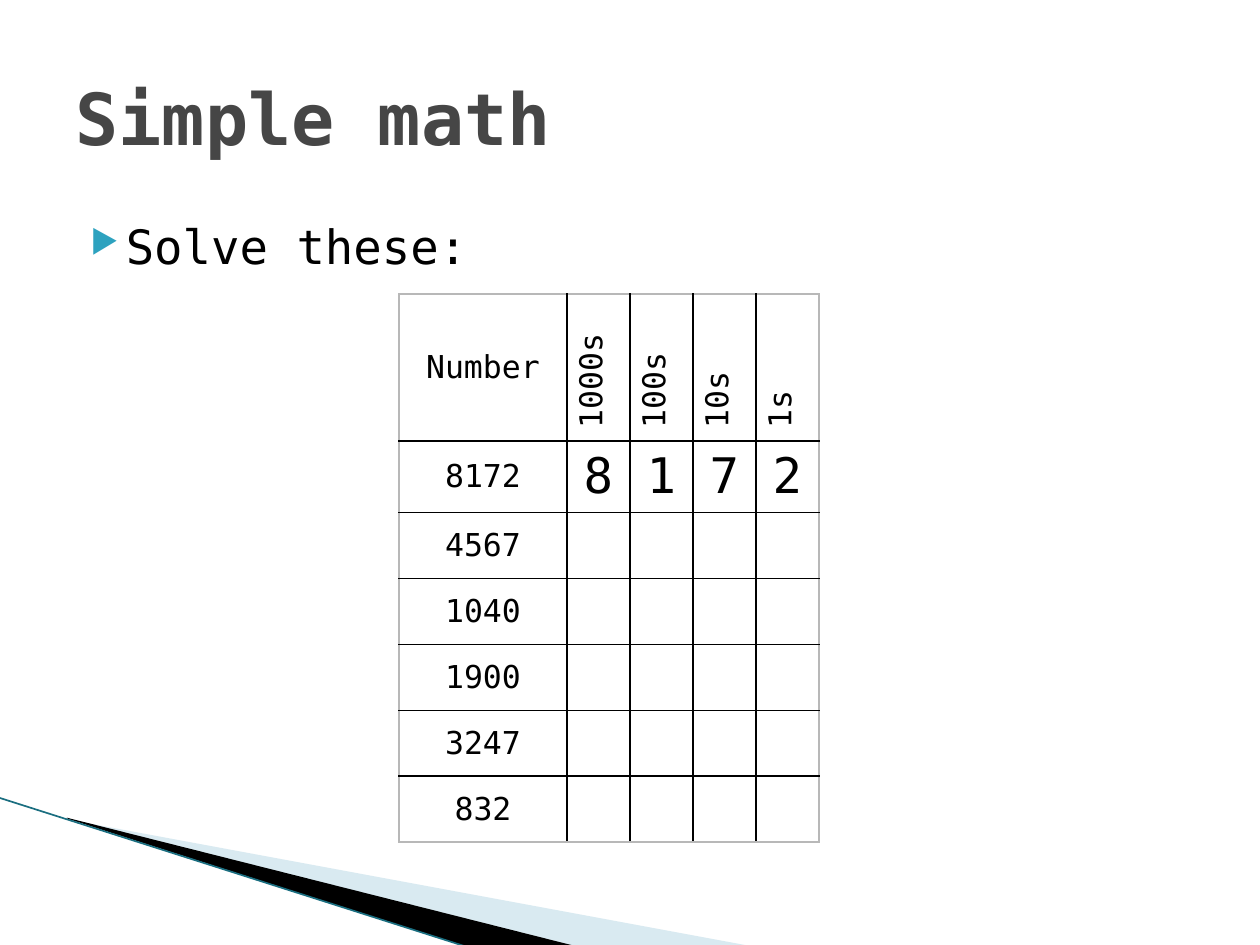
from lxml import etree
from pptx import Presentation
from pptx.dml.color import RGBColor
from pptx.enum import shapes, text
from pptx.oxml import ns
from pptx.util import Pt

COLORS = {
    "ink": "000000",
    "heading": "464646",
    "accent": "2DA2BF",
    "pale": "A0CBDC",
    "edge": "1A6E80",
    "frame": "B8B8B8",
}
FONT = "DejaVu Sans Mono"


def rgb(name):
    return RGBColor.from_string(COLORS[name])


def add_element(parent, tag, **attributes):
    return etree.SubElement(parent, ns.qn(tag), attributes)


class SlideWriter:
    def __init__(self, slide, font):
        self.slide = slide
        self.font = font

    def format_text(self, paragraph, size, color="ink", bold=False, align="LEFT"):
        paragraph.alignment = getattr(text.PP_ALIGN, align)
        for key, value in {"name": self.font, "size": Pt(size), "bold": bold}.items():
            setattr(paragraph.font, key, value)
        paragraph.font.color.rgb = rgb(color)

    def title(self, words, left, top, width, height, size):
        heading = self.slide.shapes.title
        box = {"left": left, "top": top, "width": width, "height": height}
        for key, value in box.items():
            setattr(heading, key, Pt(value))
        frame = heading.text_frame
        frame.text = words
        frame.vertical_anchor = text.MSO_ANCHOR.MIDDLE
        self.format_text(frame.paragraphs[0], size, "heading", bold=True)

    def bullet(self, words, left, top, width, height, size):
        box = self.slide.shapes.add_textbox(Pt(left), Pt(top), Pt(width), Pt(height))
        frame = box.text_frame
        frame.word_wrap = True
        frame.margin_top = Pt(7.6)
        paragraph = frame.paragraphs[0]
        paragraph.text = words
        props = paragraph._p.get_or_add_pPr()
        props.set("marL", str(Pt(28.8)))
        props.set("indent", str(-Pt(20.16)))
        add_element(add_element(props, "a:buClr"), "a:srgbClr", val=COLORS["accent"])
        add_element(props, "a:buSzPct", val="68000")
        add_element(props, "a:buChar", char="▶")
        self.format_text(paragraph, size)

    def wedge(self, points, color, opacity=100):
        start, *rest = [(Pt(x), Pt(y)) for x, y in points]
        builder = self.slide.shapes.build_freeform(*start)
        builder.add_line_segments(rest, close=True)
        wedge = builder.convert_to_shape()
        wedge.shadow.inherit = False
        wedge.fill.solid()
        wedge.fill.fore_color.rgb = rgb(color)
        wedge.line.fill.background()
        if opacity < 100:
            tone = wedge._element.spPr.find(".//" + ns.qn("a:srgbClr"))
            add_element(tone, "a:alpha", val=str(opacity * 1000))

    def line(self, start, end, color, width):
        ends = [Pt(value) for value in (*start, *end)]
        edge = self.slide.shapes.add_connector(shapes.MSO_CONNECTOR.STRAIGHT, *ends)
        edge.line.color.rgb = rgb(color)
        edge.line.width = Pt(width)
        add_element(edge._element.spPr, "a:effectLst")

    def cell(self, cell, words, size, borders, vertical=False):
        props = cell._tc.get_or_add_tcPr()
        for side, color in borders.items():
            border = add_element(props, f"a:ln{side}", w=str(Pt(1)))
            add_element(add_element(border, "a:solidFill"), "a:srgbClr", val=COLORS[color])
        cell.fill.background()
        cell.text = words
        if vertical:
            props.set("vert", "vert270")
        else:
            cell.vertical_anchor = text.MSO_ANCHOR.MIDDLE
        self.format_text(cell.text_frame.paragraphs[0], size,
                         align="LEFT" if vertical else "CENTER")

    def table(self, rows, left, top, widths, heights):
        last_row, last_column = len(heights) - 1, len(widths) - 1
        table = self.slide.shapes.add_table(
            len(heights), len(widths), Pt(left), Pt(top),
            Pt(sum(widths)), Pt(sum(heights))).table
        table.first_row = table.horz_banding = False
        for column, width in zip(table.columns, widths):
            column.width = Pt(width)
        for row, height in zip(table.rows, heights):
            row.height = Pt(height)
        for r, values in enumerate(rows):
            for c, words in enumerate(values):
                outer = {"L": c == 0, "R": c == last_column,
                         "T": r == 0, "B": r == last_row}
                borders = {side: "frame" if out else "ink" for side, out in outer.items()}
                size = 28 if r and c else 18
                self.cell(table.cell(r, c), words, size if words else 18, borders,
                          vertical=r == 0 and c > 0)


def main():
    deck = Presentation()
    deck.slide_width, deck.slide_height = Pt(720), Pt(540)
    writer = SlideWriter(deck.slides.add_slide(deck.slide_layouts[5]), FONT)

    # Corner decoration
    writer.wedge([(39.6, 468.5), (428.4, 540.5), (328.3, 540.5), (39.6, 468)], "pale", 40)
    writer.wedge([(38.2, 467.3), (329, 540.7), (267.8, 541.4), (38.9, 468)], "ink")
    writer.line((-0.7, 455.8), (267.8, 541.4), "edge", 0.95)

    # Title and task
    writer.title("Simple math", 36, 21.6, 648, 90, 41)
    writer.bullet("Solve these:", 36, 116.64, 360, 356.4, 27)

    # Place value table: the first number is solved as an example
    places = ["1000s", "100s", "10s", "1s"]
    example, *exercises = ["8172", "4567", "1040", "1900", "3247", "832"]
    rows = [["Number", *places], [example, *example]]
    rows += [[number] + [""] * len(places) for number in exercises]
    writer.table(rows, 228, 168, [96] + [36] * len(places),
                 [84] + [37.7] * (len(rows) - 1))

    deck.save("out.pptx")


if __name__ == "__main__":
    main()
